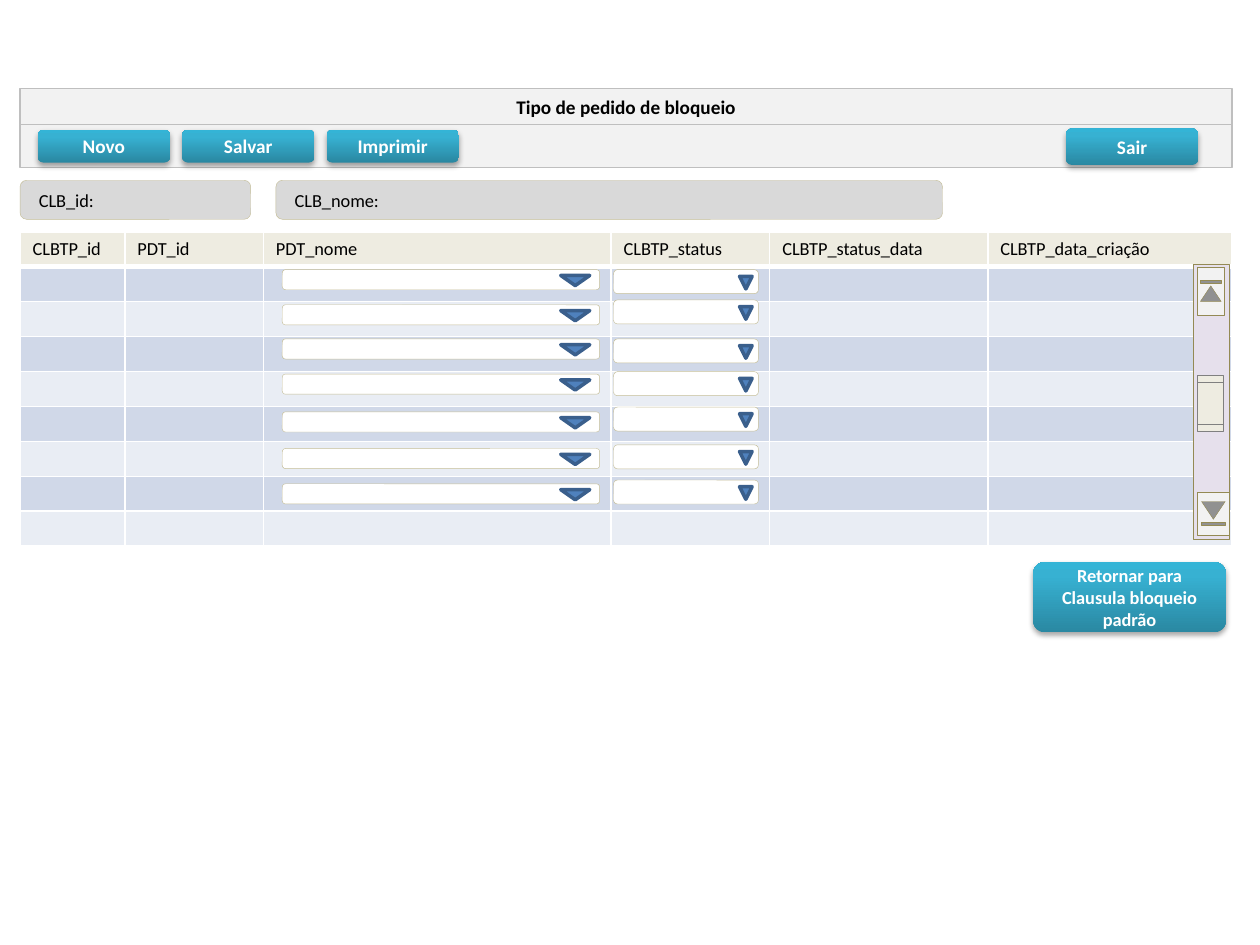
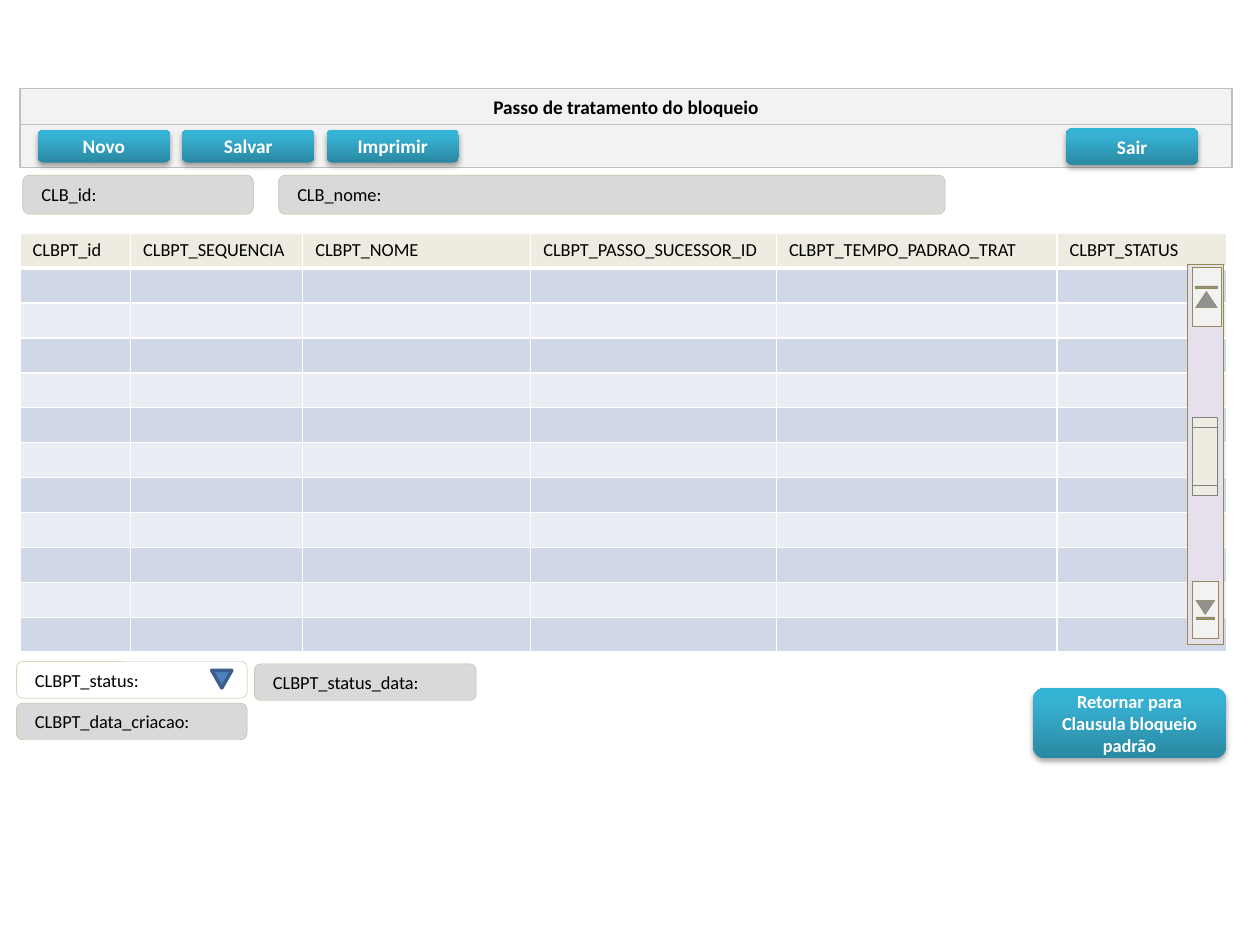
import pptx
import pptx.dml.color
import pptx.enum.shapes
import pptx.enum.text
import pptx.oxml.ns
import pptx.util
from lxml import etree

Pt = pptx.util.Pt
SHAPE = pptx.enum.shapes.MSO_SHAPE
ALIGN = pptx.enum.text.PP_ALIGN
MIDDLE = pptx.enum.text.MSO_ANCHOR.MIDDLE
qn = pptx.oxml.ns.qn

# Shared look
WHITE, BLACK = "FFFFFF", "000000"
BAR_FILL, BAR_LINE = "F2F2F2", "BFBFBF"
READONLY_FILL, FIELD_LINE = "D9D9D9", "C4BD97"
HEADER_FILL, ROW_FILLS = "EEECE1", ("D0D8E8", "E9EDF4")
ARROW_FILL, ARROW_LINE = "4F81BD", "3A5F8C"
TRACK_FILL, SCROLL_LINE, THUMB_LINE = "E6E0EC", "948A54", "808080"
BUTTON_STOPS = ((0, "2A88A2"), (80, "37B1D2"), (100, "34B4D6"))

TITLE_FONT = {"name": "Calibri", "size": Pt(11), "bold": True}
BUTTON_FONT = TITLE_FONT
RETURN_FONT = {"name": "Calibri", "size": Pt(10.5), "bold": True}
BODY_FONT = {"name": "Calibri", "size": Pt(10.5), "bold": False}

LEFT, BAR_WIDTH = 11.5, 692.6
TITLE_TOP, TITLE_HEIGHT = 50.4, 20.9
TOOLBAR_TOP, TOOLBAR_HEIGHT = 71.3, 24.5
BUTTON_WIDTH, BUTTON_STEP = 75.6, 82.5
ROW_HEIGHT = 19.8
FIELD_INDENT = 9.6


def rgb(value):
    return pptx.dml.color.RGBColor.from_string(value)


def child(parent, tag, **attributes):
    element = etree.SubElement(parent, qn(tag))
    for key, value in attributes.items():
        element.set(key, str(value))
    return element


def paint(shape, fill, line, width):
    shape.fill.solid()
    shape.fill.fore_color.rgb = rgb(fill)
    shape.line.color.rgb = rgb(line)
    shape.line.width = Pt(width)


def write(frame, text, font, color, align):
    frame.text = text
    for paragraph in frame.paragraphs:
        paragraph.alignment = align
        for run in paragraph.runs:
            for key, value in font.items():
                setattr(run.font, key, value)
            run.font.color.rgb = rgb(color)


def add_box(shapes, kind, box, fill, line, width=0.25, rotation=0):
    shape = shapes.add_shape(kind, *map(Pt, box))
    shape.shadow.inherit = False
    shape.rotation = rotation
    paint(shape, fill, line, width)
    return shape


def add_title(slide, text):
    title = slide.shapes.title
    title.left, title.top = Pt(LEFT), Pt(TITLE_TOP)
    title.width, title.height = Pt(BAR_WIDTH), Pt(TITLE_HEIGHT)
    paint(title, BAR_FILL, BAR_LINE, 0.75)
    title.text_frame.auto_size = pptx.enum.text.MSO_AUTO_SIZE.NONE
    title.text_frame.vertical_anchor = MIDDLE
    write(title.text_frame, text, TITLE_FONT, BLACK, ALIGN.CENTER)


def add_button(shapes, text, box, font=BUTTON_FONT):
    button = shapes.add_shape(SHAPE.ROUNDED_RECTANGLE, *map(Pt, box))
    button.line.fill.background()
    # Three-stop gradient, dark at the bottom
    button.fill.gradient()
    button.fill.gradient_angle = 90
    properties = button._element.spPr
    stops = properties.find(".//" + qn("a:gsLst"))
    for stop in list(stops):
        stops.remove(stop)
    for position, color in BUTTON_STOPS:
        stop = child(stops, "a:gs", pos=position * 1000)
        child(stop, "a:srgbClr", val=color)
    # Soft shadow below
    button.shadow.inherit = False
    shadow = child(properties.find(qn("a:effectLst")), "a:outerShdw",
                   blurRad=Pt(3.1), dist=Pt(1.8), dir=5400000, rotWithShape=0)
    child(child(shadow, "a:srgbClr", val=BLACK), "a:alpha", val=35000)
    button.text_frame.word_wrap = True
    button.text_frame.vertical_anchor = MIDDLE
    write(button.text_frame, text, font, WHITE, ALIGN.CENTER)


def add_field(shapes, label, box, fill=READONLY_FILL):
    field = add_box(shapes, SHAPE.ROUNDED_RECTANGLE, box, fill, FIELD_LINE)
    frame = field.text_frame
    frame.word_wrap = True
    frame.vertical_anchor = MIDDLE
    frame.margin_left = Pt(FIELD_INDENT)
    write(frame, label, BODY_FONT, BLACK, ALIGN.LEFT)


def add_arrow(shapes, box):
    add_box(shapes, SHAPE.FLOWCHART_EXTRACT, box, ARROW_FILL, ARROW_LINE, 2, 180)


def add_dropdowns(slide, tops, left, width, height, arrow):
    arrow_left, arrow_drop, arrow_width, arrow_height = arrow
    for top in tops:
        parts = slide.shapes.add_group_shape().shapes
        add_box(parts, SHAPE.ROUNDED_RECTANGLE, (left, top, width, height),
                WHITE, FIELD_LINE)
        add_arrow(parts, (arrow_left, top + arrow_drop, arrow_width, arrow_height))


def style_cell(cell, fill, top_width, bottom_width):
    properties = cell._tc.get_or_add_tcPr()
    edges = {"a:lnL": 1, "a:lnR": 1, "a:lnT": top_width, "a:lnB": bottom_width}
    for tag, width in edges.items():
        edge = child(properties, tag, w=Pt(width))
        child(child(edge, "a:solidFill"), "a:srgbClr", val=WHITE)
    cell.fill.solid()
    cell.fill.fore_color.rgb = rgb(fill)


def add_grid(slide, top, columns, body_rows):
    row_count = body_rows + 1
    grid = slide.shapes.add_table(
        row_count, len(columns), Pt(LEFT), Pt(top),
        Pt(sum(columns.values())), Pt(ROW_HEIGHT * row_count)).table
    for column, width in zip(grid.columns, columns.values()):
        column.width = Pt(width)
    for index, row in enumerate(grid.rows):
        row.height = Pt(ROW_HEIGHT)
        for cell, heading in zip(row.cells, columns):
            if index == 0:
                style_cell(cell, HEADER_FILL, 1, 3)
                write(cell.text_frame, heading, BODY_FONT, BLACK, ALIGN.LEFT)
            else:
                style_cell(cell, ROW_FILLS[(index - 1) % 2], 3 if index == 1 else 1, 1)
                # Small end mark keeps the empty row low
                child(cell.text_frame.paragraphs[0]._p, "a:endParaRPr", sz=1050)


def add_scrollbar(slide, track, up, down, thumb):
    parts = slide.shapes.add_group_shape().shapes
    add_box(parts, SHAPE.RECTANGLE, track, TRACK_FILL, SCROLL_LINE)
    for box, rotation in ((up, 270), (down, 90)):
        add_box(parts, SHAPE.ACTION_BUTTON_END, box, BAR_FILL, SCROLL_LINE,
                rotation=rotation)
    add_box(parts, SHAPE.FLOWCHART_PREDEFINED_PROCESS, thumb, HEADER_FILL,
            THUMB_LINE, rotation=90)


def add_screen(deck, title, field_left, field_top, return_top):
    """Parts found on every screen: title, toolbar, key fields, return button."""
    slide = deck.slides.add_slide(deck.slide_layouts[5])
    shapes = slide.shapes
    add_title(slide, title)
    add_box(shapes, SHAPE.RECTANGLE, (LEFT, TOOLBAR_TOP, BAR_WIDTH, TOOLBAR_HEIGHT),
            BAR_FILL, BAR_LINE, 0.75)
    for index, text in enumerate(("Novo", "Salvar", "Imprimir")):
        add_button(shapes, text, (21.6 + index * BUTTON_STEP, 74.2, BUTTON_WIDTH, 18.7))
    add_button(shapes, "Sair", (609.1, 73.4, BUTTON_WIDTH, 20.9))
    add_field(shapes, "CLB_id:", (field_left, field_top, 131.8, 22.3))
    add_field(shapes, "CLB_nome:", (field_left + 146.2, field_top, 380.9, 22.3))
    add_button(shapes, "Retornar para\nClausula bloqueio padrão",
               (590.4, return_top, 110.2, 40.3), RETURN_FONT)
    return slide


def add_request_types(deck):
    slide = add_screen(deck, "Tipo de pedido de bloqueio", 11.5, 103, 321.1)
    add_grid(slide, 132.5, {
        "CLBTP_id": 59.8, "PDT_id": 79.2, "PDT_nome": 198.7, "CLBTP_status": 90.7,
        "CLBTP_status_data": 124.6, "CLBTP_data_criação": 139.7}, 8)
    add_scrollbar(slide, track=(681.8, 151.2, 20.9, 157), up=(678.2, 158.4, 27.4, 15.8),
                  down=(681.1, 284.4, 24.5, 18), thumb=(675.4, 223.2, 32.4, 14.4))
    # Name and status choices
    name_tops = (154.1, 174.2, 193.7, 213.8, 235.4, 256.3, 276.5)
    add_dropdowns(slide, name_tops, 161.3, 181.4, 11.5, (320.4, 3.3, 16.6, 5.8))
    status_tops = (154.1, 171.4, 193.7, 212.4, 232.6, 254.2, 274.3)
    add_dropdowns(slide, status_tops, 350.6, 82.8, 13.7, (422.6, 3.8, 7.2, 7.2))


def add_treatment_steps(deck):
    slide = add_screen(deck, "Passo de tratamento do bloqueio", 13, 100.1, 393.1)
    add_grid(slide, 133.2, {
        "CLBPT_id": 63.1, "CLBPT_SEQUENCIA": 98.4, "CLBPT_NOME": 130.3,
        "CLBPT_PASSO_SUCESSOR_ID": 140.4, "CLBPT_TEMPO_PADRAO_TRAT": 160.4,
        "CLBPT_STATUS": 97.2}, 11)
    add_scrollbar(slide, track=(678.2, 151.2, 20.9, 216.7), up=(672.5, 161.3, 33.8, 16.6),
                  down=(672.5, 341.3, 32.4, 14.4), thumb=(666, 253.4, 44.6, 14.4))
    # Details of the selected step
    add_field(slide.shapes, "CLBPT_data_criacao:", (9.4, 401.8, 131.8, 20.9))
    add_field(slide.shapes, "CLBPT_status:", (9.4, 378, 131.8, 20.9), WHITE)
    add_field(slide.shapes, "CLBPT_status_data:", (145.4, 379.4, 126.7, 20.9))
    add_arrow(slide.shapes, (121, 383, 11.5, 10.1))


def main():
    deck = pptx.Presentation()
    deck.slide_width, deck.slide_height = Pt(720), Pt(540)
    add_request_types(deck)
    add_treatment_steps(deck)
    deck.save("out.pptx")


if __name__ == "__main__":
    main()
